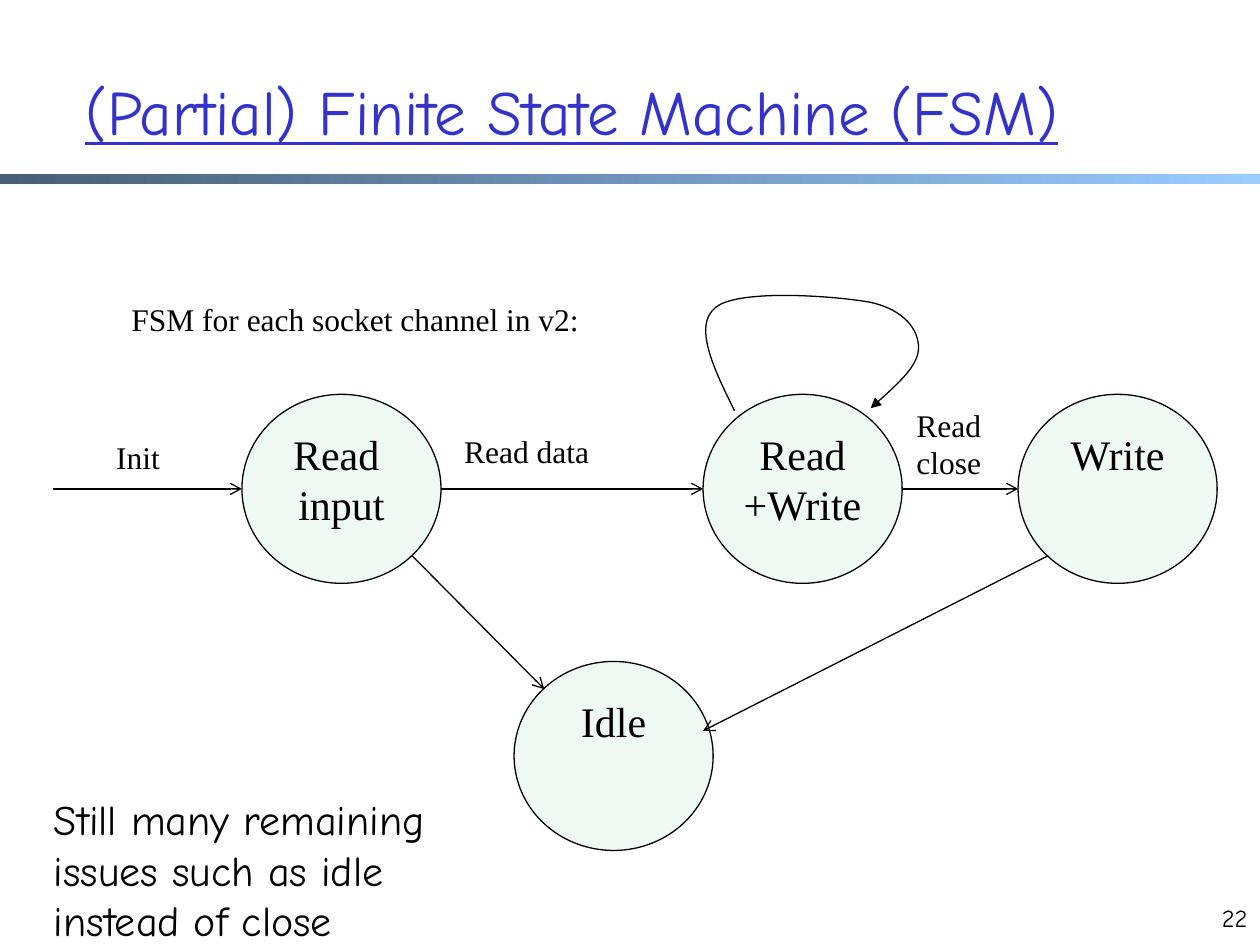
from lxml import etree
from pptx import Presentation
from pptx.dml.color import RGBColor
from pptx.enum import shapes, text
from pptx.oxml.ns import qn
from pptx.util import Inches, Pt

BLACK = RGBColor(0x00, 0x00, 0x00)
TITLE_BLUE = RGBColor(0x33, 0x33, 0xCC)
MINT = RGBColor(0xEE, 0xF9, 0xF4)
BAR_START = RGBColor(0x47, 0x5E, 0x76)
BAR_END = RGBColor(0x99, 0xCC, 0xFF)
COMIC = "Comic Neue"
SERIF = "Times New Roman"
LEFT, CENTER, RIGHT = text.PP_ALIGN.LEFT, text.PP_ALIGN.CENTER, text.PP_ALIGN.RIGHT
STATE_WIDTH, STATE_HEIGHT = 1.58, 1.5


class StateDiagram:
    def __init__(self, page):
        self.page = page

    def add_words(self, shape, content, size, font, align, color=BLACK, underline=None):
        para = shape.text_frame.paragraphs[0]
        para.alignment = align
        for index, line in enumerate(content.split("\n")):
            if index:
                para.add_line_break()
            span = para.add_run()
            span.text = line
            span.font.size = Pt(size)
            span.font.name = font
            span.font.color.rgb = color
            span.font.underline = underline

    def label(self, at, content, size=18, font=SERIF, align=CENTER, wrap=False,
              anchor=text.MSO_ANCHOR.TOP, **style):
        box = self.page.shapes.add_textbox(*map(Inches, at))
        box.text_frame.word_wrap = wrap
        box.text_frame.vertical_anchor = anchor
        self.add_words(box, content, size, font, align, **style)

    def bar(self, at):
        bar = self.page.shapes.add_shape(shapes.MSO_SHAPE.RECTANGLE, *map(Inches, at))
        bar.shadow.inherit = False
        bar.line.fill.background()
        bar.fill.gradient()
        bar.fill.gradient_angle = 0
        for stop, color, position in zip(bar.fill.gradient_stops, (BAR_START, BAR_END), (0, 1)):
            stop.color.rgb = color
            stop.position = position

    def state(self, left, top, content):
        oval = self.page.shapes.add_shape(
            shapes.MSO_SHAPE.OVAL, Inches(left), Inches(top),
            Inches(STATE_WIDTH), Inches(STATE_HEIGHT))
        oval.shadow.inherit = False
        oval.fill.solid()
        oval.fill.fore_color.rgb = MINT
        self.outline(oval)
        oval.text_frame.word_wrap = False
        oval.text_frame.vertical_anchor = text.MSO_ANCHOR.TOP
        self.add_words(oval, content, 24, SERIF, CENTER)

    def outline(self, shape, head=None):
        shape.line.color.rgb = BLACK
        shape.line.width = Pt(0.75)
        if head:
            line = shape.line._get_or_add_ln()
            etree.SubElement(line, qn("a:tailEnd"), type=head)

    def arrow(self, start, end):
        line = self.page.shapes.add_connector(
            shapes.MSO_CONNECTOR.STRAIGHT, *map(Inches, start + end))
        self.outline(line, "arrow")
        etree.SubElement(line._element.spPr, qn("a:effectLst"))

    def loop(self, start, points):
        builder = self.page.shapes.build_freeform(*map(Inches, start))
        builder.add_line_segments([tuple(map(Inches, point)) for point in points], close=False)
        curve = builder.convert_to_shape()
        curve.shadow.inherit = False
        curve.fill.background()
        self.outline(curve, "triangle")
        route = curve._element.find(".//" + qn("a:path"))
        segments = route.findall(qn("a:lnTo"))
        for first in range(0, len(segments), 3):
            bezier = etree.SubElement(route, qn("a:cubicBezTo"))
            for segment in segments[first:first + 3]:
                bezier.append(segment[0])
                route.remove(segment)


def main():
    deck = Presentation()
    deck.slide_width, deck.slide_height = Inches(10), Inches(7.5)
    diagram = StateDiagram(deck.slides.add_slide(deck.slide_layouts[6]))

    diagram.bar((0, 1.38, 10, 0.08))
    diagram.label((0.58, 0.25, 9, 1.25), "(Partial) Finite State Machine (FSM)", 36, COMIC,
                  LEFT, True, text.MSO_ANCHOR.MIDDLE, color=TITLE_BLUE, underline=True)
    diagram.label((9.5, 7.12, 0.5, 0.5), "22", 14, COMIC, RIGHT, True)

    for left, top, name in (
        (1.92, 3.13, "Read \ninput"),
        (5.58, 3.13, "Read\n+Write"),
        (8.08, 3.13, "Write"),
        (4.08, 5.25, "Idle"),
    ):
        diagram.state(left, top, name)

    for start, end in (
        ((0.42, 3.88), (1.92, 3.88)),
        ((3.5, 3.88), (5.58, 3.88)),
        ((7.17, 3.88), (8.08, 3.88)),
        ((8.32, 4.41), (5.58, 5.8)),
        ((3.27, 4.41), (4.32, 5.47)),
    ):
        diagram.arrow(start, end)

    diagram.loop((5.83, 3.26), (
        (5.66, 2.92), (5.5, 2.58), (5.68, 2.44),
        (5.86, 2.29), (6.64, 2.35), (6.91, 2.4),
        (7.18, 2.46), (7.29, 2.62), (7.29, 2.76),
        (7.29, 2.9), (7.1, 3.07), (6.91, 3.24),
    ))

    for at, content in (
        ((0.82, 3.43, 0.55, 0.4), "Init"),
        ((3.58, 3.38, 1.2, 0.4), "Read data"),
        ((7.17, 3.17, 0.72, 0.71), "Read\nclose"),
        ((0.75, 2.33, 4.14, 0.4), "FSM for each socket channel in v2:"),
    ):
        diagram.label(at, content)
    diagram.label((0.33, 6.25, 3.36, 1.31),
                  "Still many remaining\nissues such as idle\ninstead of close", 24, COMIC, LEFT)

    deck.save("out.pptx")


if __name__ == "__main__":
    main()
